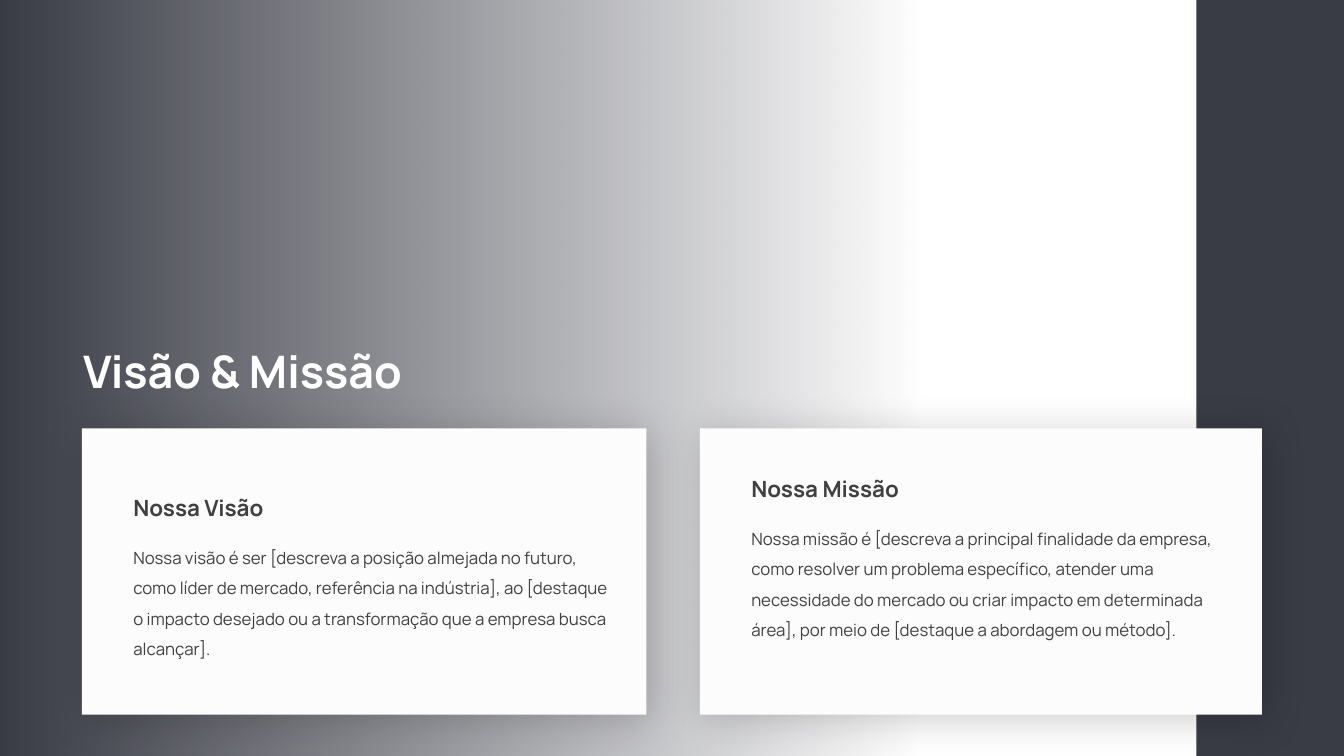
from dataclasses import dataclass

from lxml import etree
from pptx import Presentation
from pptx import util as u
from pptx.dml import color
from pptx.enum import shapes, text
from pptx.oxml import ns


@dataclass(frozen=True)
class Theme:
    font: str = "Manrope"
    dark: str = "393B45"
    card: str = "FDFCFD"
    ink: str = "404040"
    white: str = "FFFFFF"
    shadow: str = "000000"
    title: int = 24
    heading: int = 12
    body: int = 9


T = Theme()
rgb = color.RGBColor.from_string

prs = Presentation()
prs.slide_width, prs.slide_height = u.Cm(25.4), u.Cm(14.29)
s = prs.slides.add_slide(prs.slide_layouts[6])
s.background.fill.solid()
s.background.fill.fore_color.rgb = rgb(T.white)


def add_rect(x, y, w, h, fill):
    sp = s.shapes.add_shape(shapes.MSO_SHAPE.RECTANGLE, *map(u.Cm, (x, y, w, h)))
    sp.shadow.inherit = False
    sp.fill.solid()
    sp.fill.fore_color.rgb = rgb(fill)
    sp.line.fill.background()
    return sp


def add_text(x, y, w, h, words, size, ink, bold=False, spacing=None):
    tf = s.shapes.add_textbox(*map(u.Cm, (x, y, w, h))).text_frame
    tf.word_wrap = True
    tf.auto_size = text.MSO_AUTO_SIZE.SHAPE_TO_FIT_TEXT
    p = tf.paragraphs[0]
    p.line_spacing = spacing
    r = p.add_run()
    r.text = words
    for name, value in {"name": T.font, "size": u.Pt(size), "bold": bold}.items():
        setattr(r.font, name, value)
    r.font.color.rgb = rgb(ink)


# Left panel fading to transparent
sp = add_rect(0, 0, 17.42, 14.35, T.dark)
sp.fill.gradient()
sp.fill.gradient_angle = 0
for stop, position in zip(sp.fill.gradient_stops, (0, 1)):
    stop.position = position
    stop.color.rgb = rgb(T.dark)
last = sp._element.spPr.findall(".//" + ns.qn("a:srgbClr"))[-1]
etree.SubElement(last, ns.qn("a:alpha"), val="0")

# Right band
add_rect(22.61, 0, 2.79, 14.29, T.dark)

# Cards: left, width, heading top, body width, body height, heading, body
cards = [
    (13.23, 10.62, 8.61, 9.7, 3.1, "Nossa Missão",
     "Nossa missão é [descreva a principal finalidade da empresa, como resolver "
     "um problema específico, atender uma necessidade do mercado ou criar impacto "
     "em determinada área], por meio de [destaque a abordagem ou método]."),
    (1.55, 10.67, 8.97, 9.6, 2.51, "Nossa Visão",
     "Nossa visão é ser [descreva a posição almejada no futuro, como líder de "
     "mercado, referência na indústria], ao [destaque o impacto desejado ou a "
     "transformação que a empresa busca alcançar]."),
]
for x, w, top, body_w, body_h, heading, body in cards:
    sp = add_rect(x, 8.1, w, 5.41, T.card)
    effects = sp._element.spPr.find(ns.qn("a:effectLst"))
    shadow = etree.SubElement(
        effects, ns.qn("a:outerShdw"), blurRad=str(u.Pt(22)), dist=str(u.Pt(3)),
        dir=str(45 * 60000), algn="tl", rotWithShape="0")
    tint = etree.SubElement(shadow, ns.qn("a:srgbClr"), val=T.shadow)
    etree.SubElement(tint, ns.qn("a:alpha"), val="20000")

    left = x + 0.72
    add_text(left, top + 1.07, body_w, body_h, body, T.body, T.ink, spacing=1.5)
    add_text(left, top, 7.92, 0.97, heading, T.heading, T.ink, bold=True, spacing=1.5)

# Title
add_text(1.32, 6.38, 8.05, 1.27, "Visão & Missão", T.title, T.white, bold=True)

prs.save("out.pptx")
